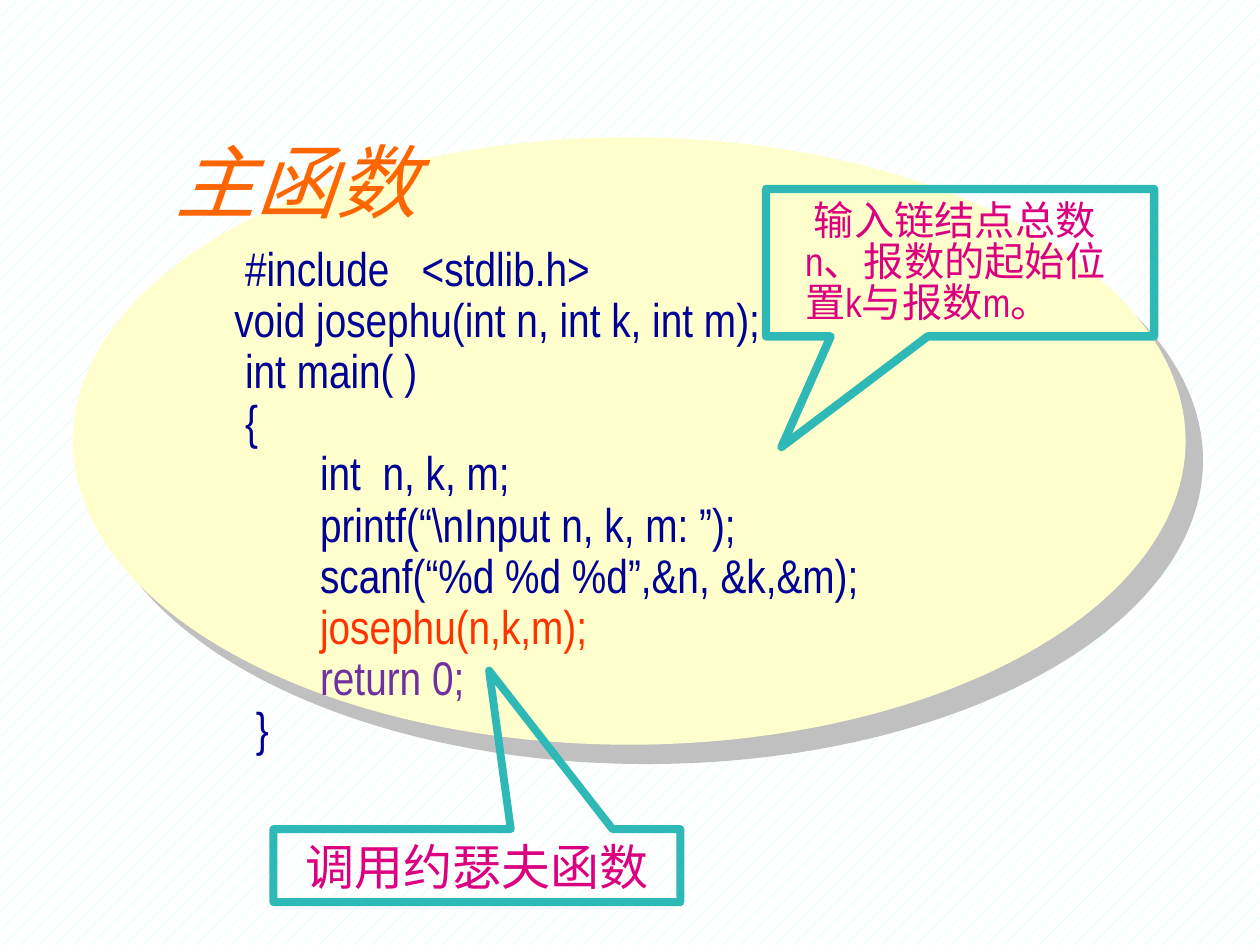
from lxml import etree
from pptx import Presentation
from pptx.dml.color import RGBColor
from pptx.enum.dml import MSO_PATTERN
from pptx.enum.shapes import MSO_SHAPE
from pptx.enum.text import MSO_ANCHOR, MSO_AUTO_SIZE, PP_ALIGN
from pptx.oxml.ns import qn
from pptx.util import Inches, Pt

COLORS = {
    "stripe": "C1FEF9", "white": "FFFFFF", "ellipse": "FFFFCD",
    "shade": "C0C0C0", "black": "000000", "title": "FF6600",
    "code": "000096", "call": "FF3300", "return": "7030A0",
    "border": "2EB9B6", "note": "DC0081",
}
LATIN, ASIAN = "Arial Narrow", "Noto Sans CJK SC"
SPACE = 0.085  # inches of indent for one step of the code listing

# indent steps, text, colour
CODE = [
    (7, "#include   <stdlib.h>", "code"),
    (6, "void josephu(int n, int k, int m);", "code"),
    (7, "int main( )", "code"),
    (7, "{", "code"),
    (14, "int  n, k, m;", "code"),
    (14, "printf(“\\nInput n, k, m: ”);", "code"),
    (14, "scanf(“%d %d %d”,&n, &k,&m);", "code"),
    (14, "josephu(n,k,m);", "call"),
    (14, "return 0;", "return"),
    (8, "}", "code"),
]


def rgb(name):
    return RGBColor.from_string(COLORS[name])


def set_box(shape, box):
    for name, value in zip(("left", "top", "width", "height"), box):
        setattr(shape, name, Inches(value))


def set_frame(frame, **values):
    defaults = {"word_wrap": True, "auto_size": MSO_AUTO_SIZE.NONE,
                "vertical_anchor": MSO_ANCHOR.TOP}
    for name, value in {**defaults, **values}.items():
        setattr(frame, name, value)


def shadow_list(color, distance, angle):
    effects = etree.Element(qn("a:effectLst"))
    shadow = etree.SubElement(effects, qn("a:outerShdw"), dist=str(Pt(distance)),
                              dir=str(angle * 60000), algn="ctr", rotWithShape="0")
    etree.SubElement(shadow, qn("a:srgbClr"), val=COLORS[color])
    return effects


def write_line(para, text, size, color, indent=0, **values):
    """Fill one paragraph with a single run and no bullet."""
    defaults = {"alignment": PP_ALIGN.LEFT, "space_before": Pt(0)}
    for name, value in {**defaults, **values}.items():
        setattr(para, name, value)
    props = para._p.get_or_add_pPr()
    props.set("marL", str(Inches(indent)))
    props.set("indent", "0")
    etree.SubElement(props, qn("a:buNone"))
    span = para.add_run()
    span.text = text
    span.font.size = Pt(size)
    span.font.color.rgb = rgb(color)
    span.font.name = LATIN
    etree.SubElement(span._r.get_or_add_rPr(), qn("a:ea"), typeface=ASIAN)
    return span


def write_lines(frame, lines, size, **values):
    for index, (indent, text, color) in enumerate(lines):
        para = frame.add_paragraph() if index else frame.paragraphs[0]
        write_line(para, text, size, color, indent, **values)


def add_ellipse(page, box):
    """Draw the shaded ellipse behind everything else."""
    ellipse = page.shapes.add_shape(MSO_SHAPE.OVAL, *map(Inches, box))
    ellipse.fill.solid()
    ellipse.fill.fore_color.rgb = rgb("ellipse")
    ellipse.line.fill.background()
    ellipse._element.spPr.append(shadow_list("shade", 14.9, 48))
    page.shapes._spTree.insert(2, ellipse._element)


def fill_title(title, box):
    set_box(title, box)
    set_frame(title.text_frame)
    span = write_line(title.text_frame.paragraphs[0], "主函数", 46, "title")
    span.font.italic = True
    fill = span._r.rPr.find(qn("a:solidFill"))
    fill.addnext(shadow_list("black", 3, 45))


def fill_code(body, box):
    set_box(body, box)
    set_frame(body.text_frame)
    lines = [(steps * SPACE, text, color) for steps, text, color in CODE]
    write_lines(body.text_frame, lines, 27, line_spacing=0.9)


def add_callout(page, box, tip, weight, lines, size, frame_values, **para_values):
    callout = page.shapes.add_shape(MSO_SHAPE.RECTANGULAR_CALLOUT, *map(Inches, box))
    for index, value in enumerate(tip):
        callout.adjustments[index] = value
    callout.shadow.inherit = False
    callout.fill.background()
    callout.line.color.rgb = rgb("border")
    callout.line.width = Pt(weight)
    set_frame(callout.text_frame, **frame_values)
    write_lines(callout.text_frame, lines, size, **para_values)


def main():
    deck = Presentation()
    deck.slide_width, deck.slide_height = Inches(10), Inches(7.5)
    page = deck.slides.add_slide(deck.slide_layouts[1])
    backdrop = page.background.fill
    backdrop.patterned()
    backdrop.pattern = MSO_PATTERN.PERCENT_5
    backdrop.fore_color.rgb = rgb("stripe")
    backdrop.back_color.rgb = rgb("white")

    add_ellipse(page, (0.58, 1.09, 8.83, 4.82))
    fill_title(page.shapes.title, (1.29, 1, 2.38, 0.87))
    fill_code(page.placeholders[1], (1.25, 1.9, 7.75, 4.2))
    add_callout(
        page, (6.08, 1.5, 3.08, 1.17), (-0.46, 1.25), 4.75,
        [(0.07, "输入链结点总数", "note"), (0, "n、报数的起始位", "note"),
         (0, "置k与报数m。", "note")], 23,
        {"margin_left": Inches(0.31), "margin_top": Inches(0.11),
         "margin_right": Inches(0.05)}, line_spacing=0.85)
    add_callout(
        page, (2.17, 6.58, 3.23, 0.58), (0.03, -2.67), 4.5,
        [(0, "调用约瑟夫函数", "note")], 28,
        {"vertical_anchor": MSO_ANCHOR.MIDDLE}, alignment=PP_ALIGN.CENTER)
    deck.save("out.pptx")


if __name__ == "__main__":
    main()
